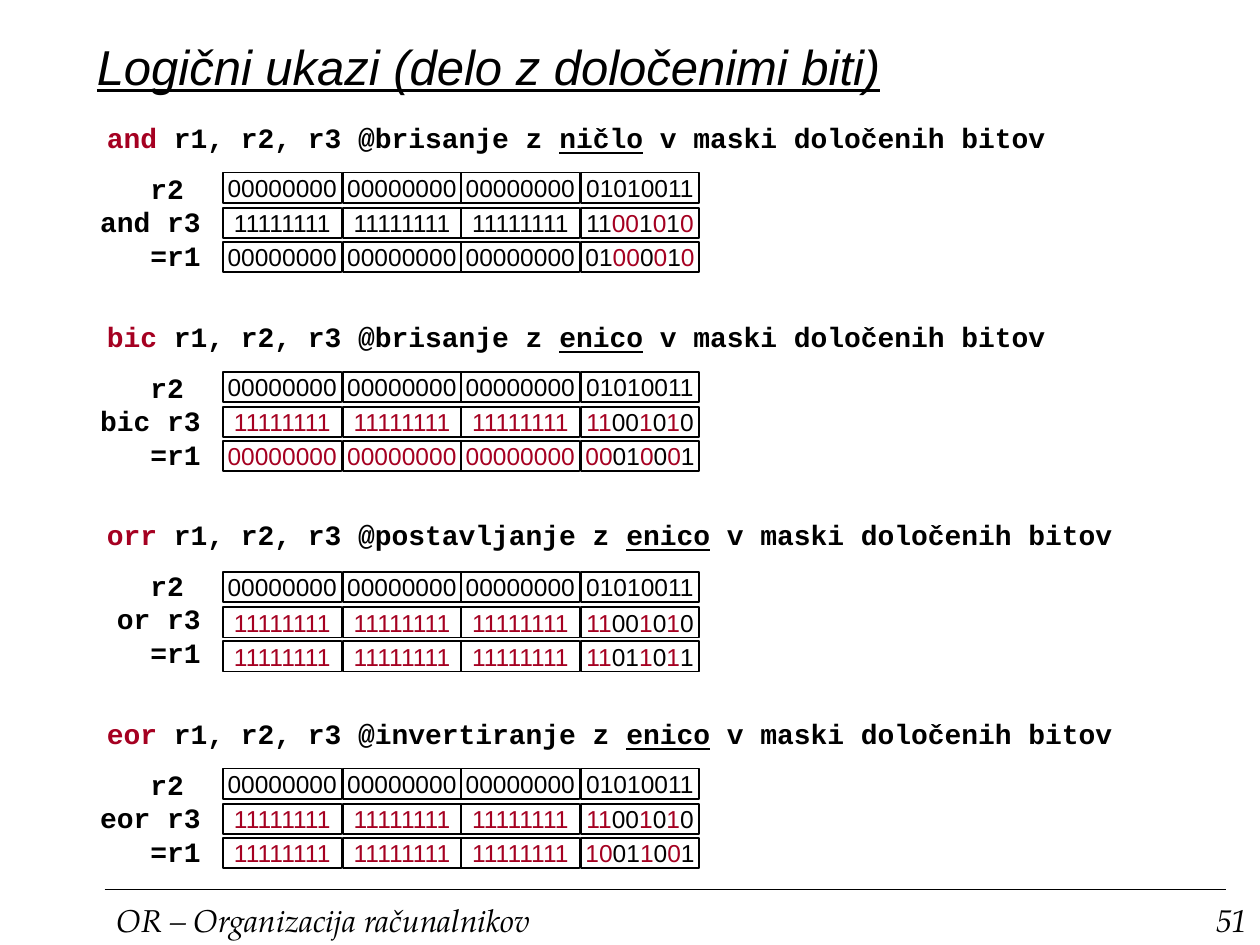
"""Build a slide on logical instructions that work on selected bits."""
from dataclasses import dataclass
from itertools import groupby

from lxml.etree import SubElement
from pptx import Presentation
from pptx.dml.color import RGBColor
from pptx.enum.shapes import MSO_CONNECTOR as Connector, MSO_SHAPE as Shape
from pptx.enum.text import MSO_ANCHOR as Anchor, MSO_AUTO_SIZE as AutoSize, PP_ALIGN as Align
from pptx.oxml.ns import qn
from pptx.util import Inches, Pt

TITLE = "Logični ukazi (delo z določenimi biti)"
FOOTER = "OR – Organizacija računalnikov"
PAGE_NUMBER = "51"

ZEROS, ONES = "00000000", "11111111"
OPERAND = [ZEROS, ZEROS, ZEROS, "01010011"]
MASK = [ONES, ONES, ONES, "11001010"]
BLOCKS = [
    dict(command="and", label="and r3", action="brisanje", bit="ničlo", active="0",
         result=[ZEROS, ZEROS, ZEROS, "01000010"], top=0.91, grid_top=1.37),
    dict(command="bic", label="bic r3", action="brisanje", bit="enico", active="1",
         result=[ZEROS, ZEROS, ZEROS, "00010001"], top=2.49, grid_top=2.95),
    dict(command="orr", label="or r3", action="postavljanje", bit="enico", active="1",
         result=[ONES, ONES, ONES, "11011011"], top=4.06, grid_top=4.54),
    dict(command="eor", label="eor r3", action="invertiranje", bit="enico", active="1",
         result=[ONES, ONES, ONES, "10011001"], top=5.64, grid_top=6.1),
]

BYTE_LEFTS = (1.77, 2.72, 3.66, 4.61)
ROW_OFFSETS = (0, 0.28, 0.55)
BYTE_WIDTH, BYTE_HEIGHT = 0.94, 0.24
LABEL_OFFSET = 0.4


@dataclass(frozen=True)
class Theme:
    ink: RGBColor = RGBColor(0, 0, 0)
    accent: RGBColor = RGBColor(0xA5, 0x00, 0x21)
    sans: str = "Arial"
    mono: str = "Courier New"
    serif: str = "TeX Gyre Pagella"
    title_size: int = 28
    footer_size: int = 18
    code_size: int = 16
    byte_size: int = 14
    line_width: int = 1


THEME = Theme()
CODE = dict(font=THEME.mono, size=THEME.code_size, bold=True, grow=True)
FOOT = dict(font=THEME.serif, size=THEME.footer_size, italic=True, grow=True)


def write(box, paragraphs, font, size, align=Align.LEFT, anchor=Anchor.TOP,
          bold=False, italic=False, wrap=True, grow=False):
    """Fill a shape with paragraphs of (text, colour, underline) spans."""
    frame = box.text_frame
    frame.word_wrap = wrap
    frame.vertical_anchor = anchor
    frame.auto_size = AutoSize.SHAPE_TO_FIT_TEXT if grow else AutoSize.NONE
    for index, spans in enumerate(paragraphs):
        para = frame.add_paragraph() if index else frame.paragraphs[0]
        para.alignment = align
        for text, colour, underline in spans:
            span = para.add_run()
            span.text = text
            span.font.name, span.font.size = font, Pt(size)
            span.font.bold, span.font.italic, span.font.underline = bold, italic, underline
            span.font.color.rgb = colour


def add_text(page, place, paragraphs, **style):
    """Add a text box at an inch-based place."""
    write(page.shapes.add_textbox(*map(Inches, place)), paragraphs, **style)


def plain(text, underline=False):
    """Return a span in the ink colour."""
    return text, THEME.ink, underline


def bit_spans(bits, mask, active):
    """Split bits into spans, with accent where the mask holds the active bit."""
    groups = groupby(zip(bits, mask), key=lambda pair: pair[1] == active)
    return [("".join(bit for bit, _ in pairs), THEME.accent if marked else THEME.ink, False)
            for marked, pairs in groups]


def add_byte(page, left, top, spans):
    """Add one outlined byte cell."""
    box = page.shapes.add_shape(
        Shape.RECTANGLE, *map(Inches, (left, top, BYTE_WIDTH, BYTE_HEIGHT)))
    box.shadow.inherit = False
    box.fill.background()
    box.line.color.rgb = THEME.ink
    box.line.width = Pt(THEME.line_width)
    write(box, [spans], font=THEME.sans, size=THEME.byte_size,
          align=Align.CENTER, anchor=Anchor.MIDDLE, wrap=False)


def add_block(page, block):
    """Add an instruction, its row labels and its grid of bytes."""
    heading = [
        (block["command"], THEME.accent, False),
        plain(f" r1, r2, r3 @{block['action']} z "),
        plain(block["bit"], underline=True),
        plain(" v maski določenih bitov"),
    ]
    add_text(page, (0.75, block["top"], 8.5, 0.37), [heading], **CODE)
    labels = [[plain(text)] for text in ("r2 ", block["label"], "=r1")]
    add_text(page, (0.67, block["top"] + LABEL_OFFSET, 1.02, 0.9), labels,
             align=Align.RIGHT, **CODE)
    rows = [(OPERAND, None), (MASK, block["active"]), (block["result"], block["active"])]
    for offset, (row, active) in zip(ROW_OFFSETS, rows):
        for left, bits, mask in zip(BYTE_LEFTS, row, MASK):
            add_byte(page, left, block["grid_top"] + offset, bit_spans(bits, mask, active))


def add_footer(page):
    """Add the footer text, page number and rule."""
    add_text(page, (0.83, 7.1, 3.66, 0.4), [[plain(FOOTER)]], wrap=False, **FOOT)
    add_text(page, (8.67, 7.1, 1.33, 0.4), [[plain(PAGE_NUMBER)]], align=Align.RIGHT, **FOOT)
    rule = page.shapes.add_connector(
        Connector.STRAIGHT, *map(Inches, (0.83, 7.06, 9.73, 7.06)))
    rule.line.color.rgb = THEME.ink
    rule.line.width = Pt(THEME.line_width)
    SubElement(rule._element.spPr, qn("a:effectLst"))


def main():
    """Build and save the deck."""
    deck = Presentation()
    deck.slide_width, deck.slide_height = Inches(10), Inches(7.5)
    page = deck.slides.add_slide(deck.slide_layouts[6])
    add_footer(page)
    add_text(page, (0.67, 0.21, 8.9, 0.62), [[plain(TITLE, underline=True)]],
             font=THEME.sans, size=THEME.title_size, italic=True, anchor=Anchor.MIDDLE)
    for block in BLOCKS:
        add_block(page, block)
    deck.save("out.pptx")


if __name__ == "__main__":
    main()
